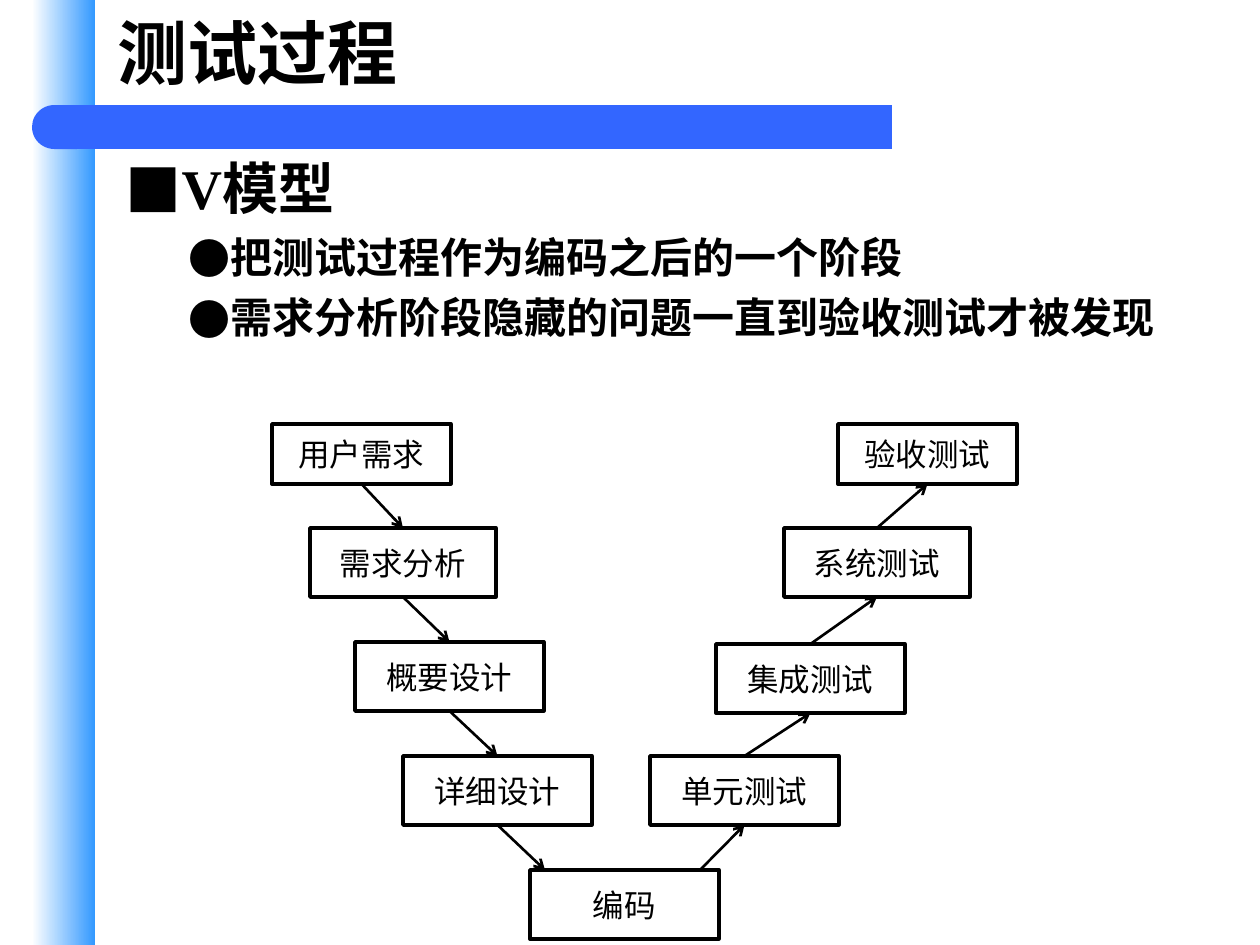
from itertools import pairwise

from lxml.etree import SubElement
from pptx import Presentation
from pptx.dml.color import RGBColor
from pptx.enum.shapes import MSO_CONNECTOR as CONN, MSO_SHAPE as SHAPE
from pptx.enum.text import MSO_ANCHOR as ANCHOR, MSO_AUTO_SIZE as AUTO, PP_ALIGN as ALIGN
from pptx.oxml.ns import qn
from pptx.util import Pt

EMU_PER_PX = 914400 / 126
COLORS = {"ink": "000000", "paper": "FFFFFF", "sky": "3399FF", "bar": "3366FF"}
SERIF, CJK = "Times New Roman", "Noto Sans CJK SC"

# text, left, top, width, height
DESIGN = [
    ("用户需求", 272, 424, 179, 60),
    ("需求分析", 310, 528, 186, 69),
    ("概要设计", 355, 642, 189, 69),
    ("详细设计", 403, 756, 189, 69),
]
CODING = ("编码", 530, 870, 189, 69)
TESTING = [
    ("单元测试", 650, 756, 189, 69),
    ("集成测试", 716, 644, 189, 69),
    ("系统测试", 784, 528, 186, 69),
    ("验收测试", 838, 424, 179, 60),
]
CODING_ENTRY, CODING_EXIT = 545, 700


def px(n):
    return round(n * EMU_PER_PX)


def rgb(name):
    return RGBColor.from_string(COLORS[name])


def place(s, left, top, width, height):
    s.left, s.top, s.width, s.height = map(px, (left, top, width, height))


def style(p, size, latin, bold=False):
    for r in p.runs:
        r.font.size, r.font.bold, r.font.name = Pt(size), bold, latin
        r.font.color.rgb = rgb("ink")
        SubElement(r.font._element, qn("a:ea"), typeface=CJK)


def set_bullet(p, char, margin, hang):
    pPr = p._p.get_or_add_pPr()
    pPr.set("marL", str(px(margin)))
    pPr.set("indent", str(-px(hang)))
    color = SubElement(pPr, qn("a:buClr"))
    SubElement(color, qn("a:srgbClr"), val=COLORS["ink"])
    SubElement(pPr, qn("a:buFont"), typeface=CJK)
    SubElement(pPr, qn("a:buChar"), char=char)


def add_plain(slide, kind, *box):
    s = slide.shapes.add_shape(kind, *map(px, box))
    s.shadow.inherit = False
    s.line.fill.background()
    return s


def add_decoration(slide):
    side = add_plain(slide, SHAPE.RECTANGLE, 32, 0, 63, 945)
    side.fill.gradient()
    side.fill.gradient_angle = 0
    for stop, name in zip(side.fill.gradient_stops, ("paper", "sky")):
        stop.color.rgb = rgb(name)
    bar = add_plain(slide, SHAPE.RECTANGLE, 76, 105, 816, 44)
    cap = add_plain(slide, SHAPE.FLOWCHART_DELAY, 32, 105, 45, 44)
    cap._element.spPr.get_or_add_xfrm().set("flipH", "1")
    for s in (bar, cap):
        s.fill.solid()
        s.fill.fore_color.rgb = rgb("bar")


def fill_title(s, text):
    place(s, 105, -4, 1033, 112)
    tf = s.text_frame
    tf.text, tf.vertical_anchor, tf.auto_size = text, ANCHOR.MIDDLE, AUTO.NONE
    p = tf.paragraphs[0]
    p.alignment = ALIGN.LEFT
    style(p, 40, "Calibri", bold=True)


def fill_body(s, heading, points):
    place(s, 113, 147, 1091, 207)
    tf = s.text_frame
    tf.auto_size = AUTO.NONE
    tf.text = heading
    p = tf.paragraphs[0]
    p.space_before = Pt(0)
    set_bullet(p, "■", 48, 48)
    style(p, 32, SERIF, bold=True)
    for text in points:
        p = tf.add_paragraph()
        p.text, p.level, p.space_before = text, 1, Pt(6)
        set_bullet(p, "●", 102, 39)
        style(p, 24, CJK, bold=True)


def add_step(slide, text, *box):
    s = add_plain(slide, SHAPE.RECTANGLE, *box)
    s.fill.background()
    s.line.color.rgb, s.line.width = rgb("ink"), Pt(2)
    tf = s.text_frame
    tf.text, tf.vertical_anchor = text, ANCHOR.MIDDLE
    p = tf.paragraphs[0]
    p.alignment = ALIGN.CENTER
    style(p, 18, SERIF)


def add_arrow(slide, start, end):
    c = slide.shapes.add_connector(CONN.STRAIGHT, *map(px, (*start, *end)))
    c.line.color.rgb, c.line.width = rgb("ink"), Pt(1.5)
    SubElement(c.line._get_or_add_ln(), qn("a:tailEnd"), type="arrow")
    SubElement(c._element.spPr, qn("a:effectLst"))


def top_of(step):
    _, left, top, width, _ = step
    return left + width / 2, top


def bottom_of(step):
    x, top = top_of(step)
    return x, top + step[-1]


def add_v_model(slide):
    for step in (*DESIGN, CODING, *TESTING):
        add_step(slide, *step)
    for upper, lower in pairwise(DESIGN):
        add_arrow(slide, bottom_of(upper), top_of(lower))
    coding_top = CODING[2]
    add_arrow(slide, bottom_of(DESIGN[-1]), (CODING_ENTRY, coding_top))
    add_arrow(slide, (CODING_EXIT, coding_top), bottom_of(TESTING[0]))
    for lower, upper in pairwise(TESTING):
        add_arrow(slide, top_of(lower), bottom_of(upper))


def main():
    prs = Presentation()
    prs.slide_width, prs.slide_height = px(1260), px(945)
    slide = prs.slides.add_slide(prs.slide_layouts[1])
    add_decoration(slide)
    fill_title(slide.shapes.title, "测试过程")
    fill_body(slide.placeholders[1], "V模型", [
        "把测试过程作为编码之后的一个阶段",
        "需求分析阶段隐藏的问题一直到验收测试才被发现",
    ])
    add_v_model(slide)
    prs.save("out.pptx")


if __name__ == "__main__":
    main()
